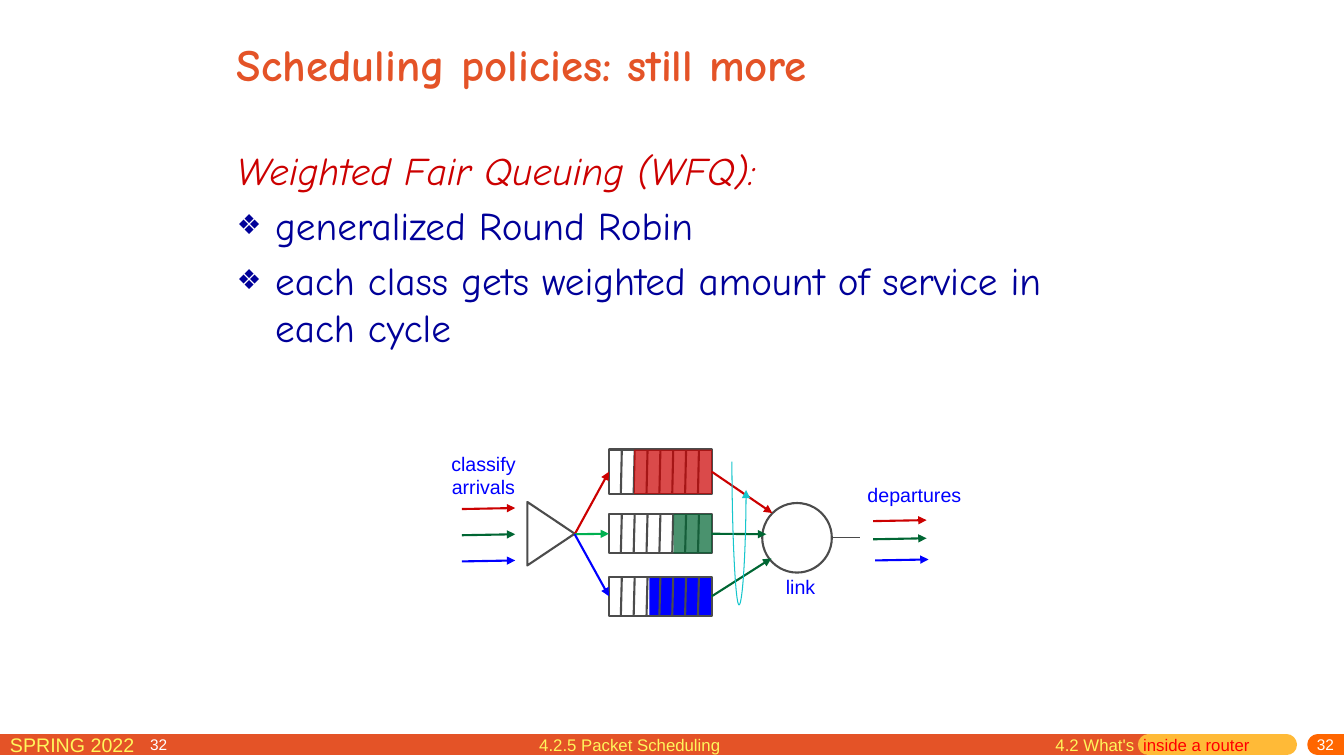
import pptx
import pptx.util
import pptx.dml.color
import pptx.enum.shapes
import pptx.enum.text
import pptx.oxml
import pptx.oxml.ns
from lxml import etree

PX = 9144  # 100 px to the inch
RED, GREEN, BLUE, GRAY = "CC0000", "006633", "0000FF", "4C4C4C"
ORANGE, YELLOW = "E45327", "FFF65C"

qn = pptx.oxml.ns.qn
rgb = pptx.dml.color.RGBColor.from_string
SHAPE = pptx.enum.shapes.MSO_SHAPE
CONNECTOR = pptx.enum.shapes.MSO_CONNECTOR
ALIGN = pptx.enum.text.PP_ALIGN
ANCHOR = pptx.enum.text.MSO_ANCHOR


def write_text(paragraph, text, size=14, color=BLUE, font="Arial",
               bold=False, italic=False, align=ALIGN.LEFT):
    paragraph.alignment = align
    run = paragraph.add_run()
    run.text = text
    run.font.size = pptx.util.Pt(size)
    run.font.name = font
    run.font.bold = bold
    run.font.italic = italic
    run.font.color.rgb = rgb(color)


def add_line(start, end, color, width=1.5, arrow=False, cap="flat",
             kind=CONNECTOR.STRAIGHT):
    """Draw a connector between two points, on the slide."""
    connector = slide.shapes.add_connector(
        kind, *(round(value * PX) for value in (*start, *end)))
    connector.line.color.rgb = rgb(color)
    connector.line.width = pptx.util.Pt(width)
    properties = connector.line._get_or_add_ln()
    properties.set("cap", cap)
    if arrow:
        etree.SubElement(properties, qn("a:tailEnd"), type="triangle")
    etree.SubElement(connector._element.spPr, qn("a:effectLst"))
    return connector


presentation = pptx.Presentation()
presentation.slide_width = 1333 * PX
presentation.slide_height = 750 * PX
slide = presentation.slides.add_slide(presentation.slide_layouts[1])

# Footer bar
add_line((0, 739), (1139, 739), ORANGE, width=15)
add_line((1139, 739), (1276, 739), "FFBA37", width=15, cap="rnd")
add_line((1307, 739), (1333, 739), "FF6600", width=15, cap="rnd")

# Title and list
title = slide.shapes.title
body = slide.placeholders[1]
for placeholder, top, height, anchor in (
        (title, 1, 125, ANCHOR.MIDDLE), (body, 140, 275, ANCHOR.TOP)):
    placeholder.left, placeholder.width = 225 * PX, 850 * PX
    placeholder.top, placeholder.height = top * PX, height * PX
    placeholder.text_frame.vertical_anchor = anchor
    placeholder.text_frame.auto_size = pptx.enum.text.MSO_AUTO_SIZE.NONE
write_text(title.text_frame.paragraphs[0], "Scheduling policies: still more",
           size=32, color=ORANGE, font="Comic Neue", bold=True)

items = ("Weighted Fair Queuing (WFQ):",
         "generalized Round Robin",
         "each class gets weighted amount of service in each cycle")
for index, item in enumerate(items):
    heading = index == 0
    frame = body.text_frame
    paragraph = frame.paragraphs[0] if heading else frame.add_paragraph()
    paragraph.space_before = pptx.util.Pt(0 if heading else 5.6)
    properties = paragraph._p.get_or_add_pPr()
    properties.set("marL", str(38 * PX))
    properties.set("indent", str(-38 * PX))
    if heading:
        etree.SubElement(properties, qn("a:buNone"))
    else:
        etree.SubElement(properties, qn("a:buSzPct"), val="70000")
        etree.SubElement(properties, qn("a:buChar"), char="❖")
    write_text(paragraph, item, size=28, font="Comic Neue", italic=heading,
               color=RED if heading else "000099")

# Queues: top, height, colour, opacity, first filled x, fill behind dividers
queue_frames = []
queue_left, queue_width, cells = 604, 102, 8
for top, height, color, opacity, fill_left, fill_behind in (
        (446, 44, RED, 71, 629, False),
        (510, 39, GREEN, 71, 668, False),
        (572, 39, BLUE, 100, 644, True)):
    group = slide.shapes.add_group_shape()
    fill = group.shapes.add_shape(
        SHAPE.RECTANGLE, fill_left * PX, top * PX,
        (queue_left + queue_width - fill_left) * PX, height * PX)
    fill.shadow.inherit = False
    fill.fill.solid()
    fill.fill.fore_color.rgb = rgb(color)
    fill.line.fill.background()
    tint = fill._element.spPr.find(qn("a:solidFill"))[0]
    etree.SubElement(tint, qn("a:alpha"), val=str(opacity * 1000))

    queue = group.shapes.add_shape(SHAPE.RECTANGLE, queue_left * PX, top * PX,
                                   queue_width * PX, height * PX)
    queue.shadow.inherit = False
    queue.fill.background()
    queue.line.color.rgb = rgb(GRAY)
    queue.line.width = pptx.util.Pt(1.5)
    queue_frames.append(queue)
    for cell in range(1, cells):
        x = queue_left + cell * queue_width / cells
        divider = add_line((x, top), (x - 1, top + height), GRAY)
        group._element.append(divider._element)
    if not fill_behind:
        group._element.append(fill._element)

# Classifier and link
for preset, left, top, width, height, rotation in (
        (SHAPE.ISOSCELES_TRIANGLE, 515, 506, 63, 47, 90),
        (SHAPE.OVAL, 756, 499, 69, 69, 0)):
    shape = slide.shapes.add_shape(preset, left * PX, top * PX,
                                   width * PX, height * PX)
    shape.rotation = rotation
    shape.shadow.inherit = False
    shape.fill.background()
    shape.line.color.rgb = rgb(GRAY)
    shape.line.width = pptx.util.Pt(1.5)

# Arrows through the queues
for queue, color_in, color_out, link_point in zip(
        queue_frames, (RED, "00B050", BLUE), (RED, GREEN, GREEN),
        ((766, 509), (760, 530), (765, 554))):
    arrow_in = add_line((570, 530), (604, 530), color_in, arrow=True)
    arrow_in.end_connect(queue, 1)
    arrow_out = add_line((706, 530), link_point, color_out, arrow=True)
    arrow_out.begin_connect(queue, 3)

# Arrivals and departures
for x, y, color in ((458, 505, RED), (458, 531, GREEN), (458, 557, BLUE),
                    (866, 517, RED), (866, 535, GREEN), (868, 556, BLUE)):
    add_line((x, y), (x + 53, y - 1), color, arrow=True)
add_line((825, 533), (853, 533), "4A4A4A", width=0.75)

# Service cycle
cycle = add_line((719, 479), (747, 465), "16C6CC", width=0.75, arrow=True,
                 kind=CONNECTOR.CURVE)
cycle._element.spPr.find(qn("a:xfrm")).set("rot", "5400000")
adjustments = cycle._element.spPr.find(qn("a:prstGeom")).get_or_add_avLst()
etree.SubElement(adjustments, qn("a:gd"), name="adj1", fmla="val 507600")

# Labels and footer texts
for text, left, top, width, height, size, color, align in (
        ("classify\narrivals", 437, 443, 85, 57, 14, BLUE, ALIGN.CENTER),
        ("departures", 850, 474, 114, 34, 14, BLUE, ALIGN.CENTER),
        ("link", 769, 565, 50, 34, 14, BLUE, ALIGN.CENTER),
        ("SPRING 2022", 0, 728, 229, 21, 14, YELLOW, ALIGN.LEFT),
        ("32", 139, 728, 55, 21, 11, "FFFFFF", ALIGN.LEFT),
        ("4.2.5 Packet Scheduling", 525, 728, 276, 21, 12, YELLOW, ALIGN.LEFT),
        ("4.2 What's", 1037, 728, 100, 21, 12, YELLOW, ALIGN.LEFT),
        ("inside a router", 1124, 728, 133, 21, 12, "FF0000", ALIGN.LEFT),
        ("32", 1075, 728, 258, 21, 11, "FFFFFF", ALIGN.RIGHT)):
    box = slide.shapes.add_textbox(left * PX, top * PX, width * PX, height * PX)
    frame = box.text_frame
    frame.word_wrap = align != ALIGN.CENTER
    frame.vertical_anchor = ANCHOR.MIDDLE
    frame.margin_top = frame.margin_bottom = 0
    for index, line in enumerate(text.split("\n")):
        paragraph = frame.add_paragraph() if index else frame.paragraphs[0]
        write_text(paragraph, line, size=size, color=color, align=align)

presentation.save("out.pptx")
